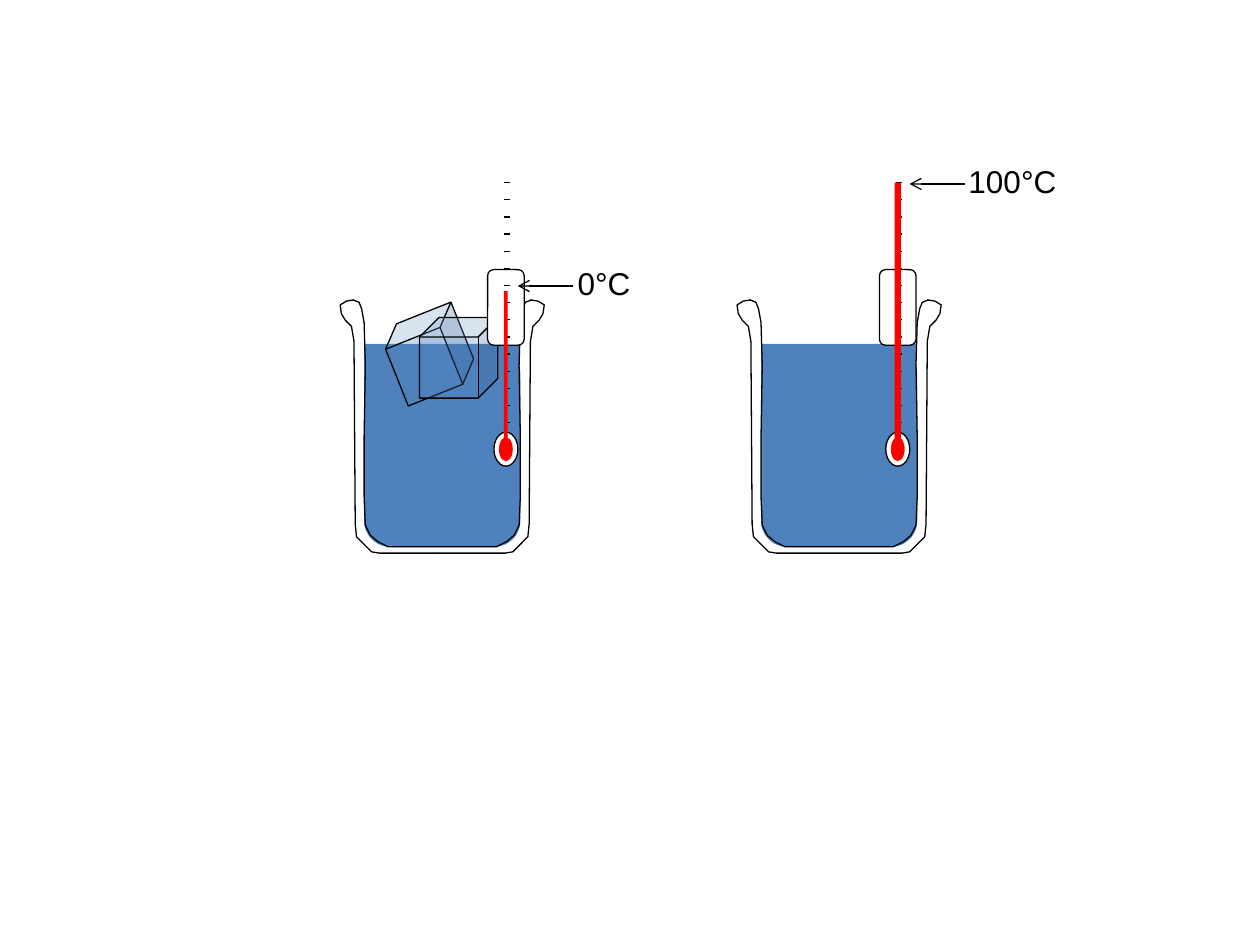
from lxml.etree import SubElement
from pptx import Presentation
from pptx.dml.color import RGBColor
from pptx.enum.shapes import MSO_CONNECTOR, MSO_SHAPE
from pptx.enum.text import MSO_AUTO_SIZE, PP_ALIGN
from pptx.oxml.ns import qn
from pptx.util import Inches, Pt

COLORS = {"water": "4F81BD", "glass": "FFFFFF", "mercury": "FF0000", "ink": "000000"}

presentation = Presentation()
presentation.slide_width = Inches(10)
presentation.slide_height = Inches(7.5)
slide = presentation.slides.add_slide(presentation.slide_layouts[6])
shapes = slide.shapes


def style(part, fill=None, outlined=False):
    part.shadow.inherit = False
    if fill:
        part.fill.solid()
        part.fill.fore_color.rgb = RGBColor.from_string(COLORS[fill])
    else:
        part.fill.background()
    if outlined:
        part.line.color.rgb = RGBColor.from_string(COLORS["ink"])
        part.line.width = Pt(0.75)
    else:
        part.line.fill.background()
    return part


def add_line(x1, y1, x2, y2):
    line = shapes.add_connector(
        MSO_CONNECTOR.STRAIGHT, Inches(x1), Inches(y1), Inches(x2), Inches(y2)
    )
    line.line.color.rgb = RGBColor.from_string(COLORS["ink"])
    line.line.width = Pt(0.75)
    SubElement(line._element.spPr, qn("a:effectLst"))
    return line


OUTER_WALL = [
    (2.81, 2.38), (2.75, 2.39), (2.7, 2.42), (2.71, 2.49), (2.74, 2.54),
    (2.79, 2.59), (2.81, 2.71), (2.82, 4.16), (2.83, 4.26), (2.89, 4.32),
    (2.95, 4.38), (3.01, 4.39), (3.53, 4.39),
]
INNER_WALL = [
    (2.8, 2.38), (2.85, 2.4), (2.87, 2.45), (2.89, 2.56), (2.9, 2.9),
    (2.89, 3.47), (2.89, 3.94), (2.9, 4.17), (2.94, 4.25), (3, 4.3),
    (3.08, 4.34), (3.23, 4.34), (3.47, 4.34), (3.51, 4.34),
]
BEAKER_AXIS = 3.51
WATER = [
    (MSO_SHAPE.ROUNDED_RECTANGLE, 2.89, 2.75, 1.24, 1.59),
    (MSO_SHAPE.RECTANGLE, 2.89, 2.73, 1.23, 0.31),
]
ICE_CUBES = [(3.1, 2.49, 338.2), (3.33, 2.52, 0)]
TICK_COUNT = 16
TICK_TOP, TICK_BOTTOM = 1.45, 3.49

setups = [
    {"beaker_shift": 0, "ice": ICE_CUBES, "thermometer_shift": 0,
     "column": (4, 2.31, 0.03, 1.21)},
    {"beaker_shift": 3.15, "ice": [], "thermometer_shift": 3.11,
     "column": (7.1, 1.45, 0.05, 2.07)},
]

for setup in setups:
    shift = setup["beaker_shift"]
    for wall, fill in ((OUTER_WALL, "glass"), (INNER_WALL, None)):
        if wall is INNER_WALL:
            for preset, left, top, width, height in WATER:
                style(shapes.add_shape(
                    preset, Inches(left + shift), Inches(top), Inches(width), Inches(height)
                ), "water")
        for side in (1, -1):
            points = [
                (Inches(BEAKER_AXIS + side * (x - BEAKER_AXIS) + shift), Inches(y))
                for x, y in wall
            ]
            outline = shapes.build_freeform(*points[0])
            outline.add_line_segments(points[1:], close=False)
            style(outline.convert_to_shape(), fill, outlined=True)

    for left, top, angle in setup["ice"]:
        ice = style(shapes.add_shape(
            MSO_SHAPE.CUBE, Inches(left), Inches(top), Inches(0.62), Inches(0.64)
        ), "water", outlined=True)
        ice.rotation = angle
        tint = ice._element.spPr.find(qn("a:solidFill"))[0]
        SubElement(tint, qn("a:alpha"), val="27000")

    shift = setup["thermometer_shift"]
    style(shapes.add_shape(
        MSO_SHAPE.OVAL, Inches(3.92 + shift), Inches(3.43), Inches(0.19), Inches(0.27)
    ), "glass", outlined=True)
    style(shapes.add_shape(
        MSO_SHAPE.ROUNDED_RECTANGLE, Inches(3.87 + shift), Inches(2.14), Inches(0.29), Inches(0.6)
    ), "glass", outlined=True)
    for tick in range(TICK_COUNT):
        y = TICK_TOP + tick * (TICK_BOTTOM - TICK_TOP) / (TICK_COUNT - 1)
        add_line(4 + shift, y, 4.05 + shift, y)
    style(shapes.add_shape(
        MSO_SHAPE.OVAL, Inches(3.96 + shift), Inches(3.47), Inches(0.11), Inches(0.19)
    ), "mercury")
    style(shapes.add_shape(
        MSO_SHAPE.RECTANGLE, *[Inches(length) for length in setup["column"]]
    ), "mercury")

readings = [
    ("100°C", 7.58, 1.24, 0.91, 7.22, 1.46),
    ("0°C", 4.48, 2.05, 0.63, 4.11, 2.27),
]
for temperature, left, top, width, tip, y in readings:
    pointer = add_line(tip + 0.44, y, tip, y)
    SubElement(pointer.line._get_or_add_ln(), qn("a:tailEnd"), type="arrow")
    reading = shapes.add_textbox(Inches(left), Inches(top), Inches(width), Inches(0.4))
    frame = reading.text_frame
    frame.text = temperature
    frame.word_wrap = False
    frame.auto_size = MSO_AUTO_SIZE.SHAPE_TO_FIT_TEXT
    paragraph = frame.paragraphs[0]
    paragraph.alignment = PP_ALIGN.CENTER
    font = paragraph.runs[0].font
    font.name = "Arial"
    font.size = Pt(18)
    font.color.rgb = RGBColor.from_string(COLORS["ink"])

presentation.save("out.pptx")
